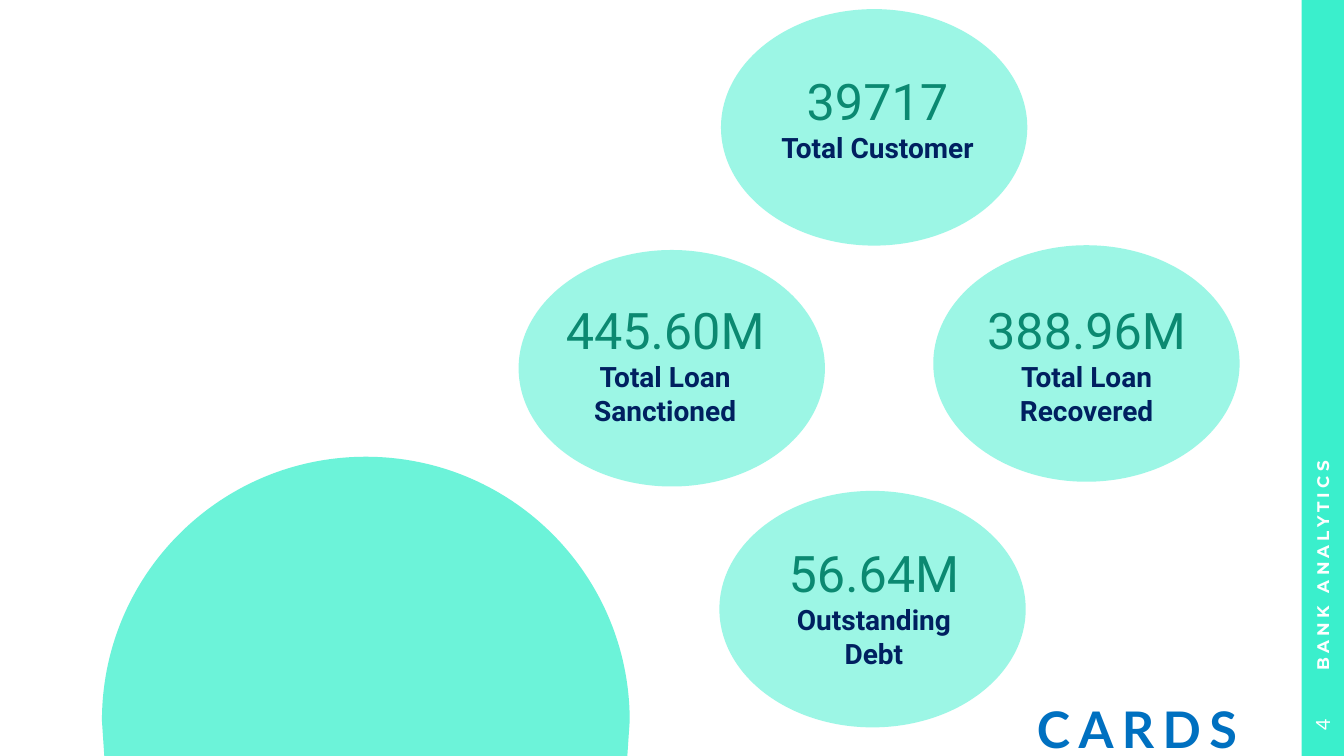
import math

from pptx import Presentation
from pptx import util as u
from pptx.dml.color import RGBColor
from pptx.enum import shapes, text
from pptx.oxml import parse_xml
from pptx.oxml.ns import nsdecls, qn

MINT = RGBColor(0x3A, 0xEF, 0xCC)
GREEN = RGBColor(0x0B, 0x89, 0x71)
NAVY = RGBColor(0x00, 0x20, 0x60)
BLUE = RGBColor(0x00, 0x70, 0xC0)
WHITE = RGBColor(0xFF, 0xFF, 0xFF)

WIDTH, HEIGHT = 33.87, 19.05
BAR_WIDTH = 1.07
OVAL_WIDTH, OVAL_HEIGHT = 7.72, 5.96
CARD_TEXT_WIDTH = 5.77
QUARTER_ARC = 0.5523  # Bezier handle length for a quarter circle of radius 1

# value, label, oval left and top, text left, top and height
CARDS = [
    ("39717", "Total Customer", 18.17, 0.23, 19.23, 1.63, 2.64),
    ("445.60M", "Total Loan Sanctioned", 13.07, 6.3, 13.88, 7.42, 3.51),
    ("388.96M", "Total Loan Recovered", 23.52, 6.18, 24.5, 7.42, 3.51),
    ("56.64M", "Outstanding Debt", 18.13, 12.37, 19.14, 13.54, 3.51),
]


def paint(shape, opacity=100):
    """Fill a shape with mint at the given opacity in percent, without outline."""
    shape.shadow.inherit = False
    shape.fill.solid()
    shape.fill.fore_color.rgb = MINT
    shape.line.fill.background()
    if opacity < 100:
        color = shape.fill._xPr.find(f"{qn('a:solidFill')}/{qn('a:srgbClr')}")
        color.append(parse_xml(f'<a:alpha {nsdecls("a")} val="{opacity * 1000}"/>'))


def add_filled(slide, kind, left, top, width, height, opacity=100):
    shape = slide.shapes.add_shape(kind, u.Cm(left), u.Cm(top), u.Cm(width), u.Cm(height))
    paint(shape, opacity)


def round_corner(line, start, corner, end):
    """Replace a straight path segment by a quarter arc bent towards corner."""
    handles = [tuple(round(a + QUARTER_ARC * (b - a)) for a, b in zip(point, corner))
               for point in (start, end)]
    points = "".join(f'<a:pt x="{x}" y="{y}"/>' for x, y in (*handles, end))
    curve = parse_xml(f'<a:cubicBezTo {nsdecls("a")}>{points}</a:cubicBezTo>')
    line.getparent().replace(line, curve)


def add_cut_circle(slide, center_x, center_y, radius, opacity):
    """Draw a circle cut off flat at the bottom edge of the slide."""
    half_cut = math.sqrt(radius ** 2 - (HEIGHT - center_y) ** 2)
    outline = [(center_x - radius, center_y), (center_x, center_y - radius),
               (center_x + radius, center_y), (center_x + half_cut, HEIGHT),
               (center_x - half_cut, HEIGHT)]
    points = [(u.Cm(x), u.Cm(y)) for x, y in outline]
    builder = slide.shapes.build_freeform(*points[0])
    builder.add_line_segments(points[1:], close=True)
    circle = builder.convert_to_shape()
    size = u.Cm(radius)
    left, top, right = (0, size), (size, 0), (2 * size, size)
    lines = list(circle._element.iter(qn("a:lnTo")))
    round_corner(lines[0], left, (0, 0), top)
    round_corner(lines[1], top, (2 * size, 0), right)
    paint(circle, opacity)


def add_text_box(slide, left, top, width, height, rotation=0):
    box = slide.shapes.add_textbox(u.Cm(left), u.Cm(top), u.Cm(width), u.Cm(height))
    box.rotation = rotation
    frame = box.text_frame
    frame.word_wrap = True
    if rotation:
        frame.vertical_anchor = text.MSO_ANCHOR.MIDDLE
    else:
        frame.auto_size = text.MSO_AUTO_SIZE.SHAPE_TO_FIT_TEXT
    return frame


def write(paragraph, words, font_name, size, color, bold=False, centered=False, spacing=0):
    """Write one run; spacing is the gap between letters in points."""
    run = paragraph.add_run()
    run.text = words
    if spacing:
        run._r.get_or_add_rPr().set("spc", str(spacing * 100))
    if centered:
        paragraph.alignment = text.PP_ALIGN.CENTER
    font = paragraph.font
    font.name = font_name
    font.size = u.Pt(size)
    font.bold = bold
    font.color.rgb = color


def add_card(slide, value, label, oval_left, oval_top, text_left, text_top, text_height):
    add_filled(slide, shapes.MSO_SHAPE.OVAL, oval_left, oval_top, OVAL_WIDTH, OVAL_HEIGHT, 50)
    frame = add_text_box(slide, text_left, text_top, CARD_TEXT_WIDTH, text_height)
    write(frame.paragraphs[0], value, "Roboto", 36, GREEN, centered=True)
    write(frame.add_paragraph(), label, "Roboto", 20, NAVY, bold=True, centered=True)


def add_side_text(slide):
    name = add_text_box(slide, 24.59, 8.2, 17.48, BAR_WIDTH, rotation=270)
    name.margin_left = u.Cm(0.58)
    write(name.paragraphs[0], "BANK ANALYTICS", "Montserrat", 12, WHITE, bold=True, spacing=3)
    number = add_text_box(slide, 32.54, 17.73, 1.57, BAR_WIDTH, rotation=270)
    write(number.paragraphs[0], "4", "Lato", 14, WHITE, centered=True)


def main():
    presentation = Presentation()
    presentation.slide_width = u.Cm(WIDTH)
    presentation.slide_height = u.Cm(HEIGHT)
    slide = presentation.slides.add_slide(presentation.slide_layouts[6])
    add_filled(slide, shapes.MSO_SHAPE.RECTANGLE, WIDTH - BAR_WIDTH, 0, BAR_WIDTH, HEIGHT)
    add_cut_circle(slide, 9.22, 18.16, 6.65, 74)
    add_side_text(slide)
    for card in CARDS:
        add_card(slide, *card)
    title = add_text_box(slide, 25.88, 17.46, 6.58, 1.8)
    write(title.paragraphs[0], "CARDS", "Lato", 36, BLUE, bold=True, spacing=6)
    presentation.save("out.pptx")


if __name__ == "__main__":
    main()
